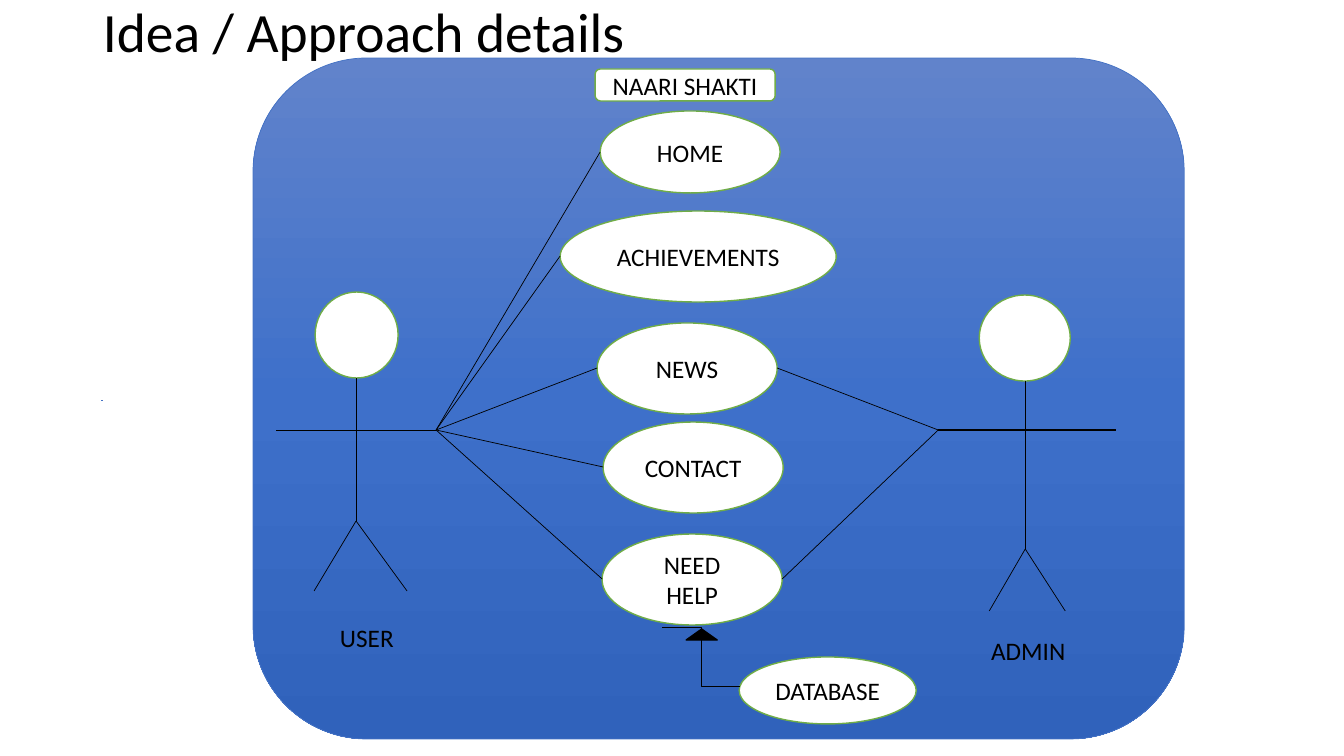
"""Build a use case slide with two actors, their use cases and a database."""
from copy import deepcopy
from typing import NamedTuple

from pptx import Presentation
from pptx.dml.color import RGBColor
from pptx.enum.shapes import MSO_CONNECTOR, MSO_SHAPE
from pptx.enum.text import MSO_ANCHOR, PP_ALIGN
from pptx.oxml.ns import qn
from pptx.oxml.xmlchemy import OxmlElement
from pptx.util import Emu, Inches, Pt

PIXELS_PER_INCH = 100.8
BLACK, WHITE, GREEN, BLUE = "000000", "FFFFFF", "70AD47", "4472C4"


class Box(NamedTuple):
    left: int
    top: int
    width: int
    height: int

    @property
    def right(self) -> int:
        return self.left + self.width

    @property
    def bottom(self) -> int:
        return self.top + self.height

    @property
    def middle(self) -> int:
        return self.top + self.height // 2


class Point(NamedTuple):
    x: int
    y: int


class UseCase(NamedTuple):
    name: str
    box: Box
    for_user: bool = True
    for_admin: bool = False


class Actor(NamedTuple):
    name: str
    label: Box
    head: Box
    hip: Point
    left_hand: int
    right_hand: int
    feet: tuple[Point, Point]
    arm_weight: float = 0.5


ARM_HEIGHT = 430
USER = Actor("USER", Box(330, 617, 93, 40), Box(315, 292, 83, 86), Point(356, 521),
             276, 436, (Point(314, 591), Point(407, 591)))
ADMIN = Actor("ADMIN", Box(981, 630, 142, 40), Box(979, 295, 91, 86), Point(1025, 549),
              938, 1116, (Point(989, 611), Point(1065, 611)), arm_weight=1)
USE_CASES = [
    UseCase("HOME", Box(600, 111, 180, 82)),
    UseCase("ACHIEVEMENTS", Box(560, 211, 276, 91)),
    UseCase("NEWS", Box(597, 323, 180, 91), for_admin=True),
    UseCase("CONTACT", Box(603, 422, 180, 91)),
    UseCase("NEED HELP", Box(602, 534, 180, 91), for_admin=True),
    UseCase("DATABASE", Box(739, 657, 177, 67), for_user=False),
]


def px(pixels: float) -> Emu:
    return Emu(round(pixels * 914400 / PIXELS_PER_INCH))


def color(value: str) -> RGBColor:
    return RGBColor.from_string(value)


def write(frame, text: str, *, size: float = 18, align=PP_ALIGN.LEFT,
          anchor=MSO_ANCHOR.TOP, spacing: float = 1.0) -> None:
    frame.word_wrap = True
    frame.vertical_anchor = anchor
    paragraph = frame.paragraphs[0]
    paragraph.alignment = align
    paragraph.line_spacing = spacing
    run = paragraph.add_run()
    run.text = text
    run.font.size = Pt(size)
    run.font.name = "Calibri"
    run.font.color.rgb = color(BLACK)


def add_label(box: Box, text: str, **style) -> None:
    write(slide.shapes.add_textbox(*map(px, box)).text_frame, text, **style)


def add_figure(kind, box: Box, text: str = "", fill: str = WHITE,
               outline: str = GREEN, weight: float = 1):
    figure = slide.shapes.add_shape(kind, *map(px, box))
    figure.shadow.inherit = False
    figure.fill.solid()
    figure.fill.fore_color.rgb = color(fill)
    figure.line.color.rgb = color(outline)
    figure.line.width = Pt(weight)
    if text:
        write(figure.text_frame, text, align=PP_ALIGN.CENTER, anchor=MSO_ANCHOR.MIDDLE)
    return figure


def add_line(start: Point, end: Point, weight: float = 0.5, stroke: str = BLACK,
             kind=MSO_CONNECTOR.STRAIGHT) -> None:
    line = slide.shapes.add_connector(kind, *map(px, (*start, *end)))
    line.line.color.rgb = color(stroke)
    line.line.width = Pt(weight)
    line._element.spPr.append(OxmlElement("a:effectLst"))


def add_system(box: Box, shades: list[str]) -> None:
    system = add_figure(MSO_SHAPE.ROUNDED_RECTANGLE, box, outline=BLUE, weight=0.5)
    system.fill.gradient()
    system.fill.gradient_angle = 270
    stops = system._element.spPr.find(".//" + qn("a:gsLst"))
    stops.insert(1, deepcopy(stops[0]))
    for index, (stop, shade) in enumerate(zip(system.fill.gradient_stops, shades)):
        stop.color.rgb = color(shade)
        stop.position = index / (len(shades) - 1)


def add_actor(actor: Actor) -> None:
    add_figure(MSO_SHAPE.FLOWCHART_CONNECTOR, actor.head)
    add_line(Point(actor.hip.x, actor.head.bottom), actor.hip)
    add_line(Point(actor.left_hand, ARM_HEIGHT), Point(actor.right_hand, ARM_HEIGHT),
             actor.arm_weight)
    for foot in actor.feet:
        add_line(actor.hip, foot)
    add_label(actor.label, actor.name)


def add_use_case(use_case: UseCase) -> None:
    box = use_case.box
    add_figure(MSO_SHAPE.OVAL, box, use_case.name)
    if use_case.for_user:
        add_line(Point(USER.right_hand, ARM_HEIGHT), Point(box.left, box.middle))
    if use_case.for_admin:
        add_line(Point(box.right, box.middle), Point(ADMIN.left_hand, ARM_HEIGHT))


deck = Presentation()
deck.slide_width, deck.slide_height = Inches(13.33), Inches(7.5)
slide = deck.slides.add_slide(deck.slide_layouts[6])

add_label(Box(93, 12, 1159, 46), "Idea / Approach details", size=39.6,
          anchor=MSO_ANCHOR.MIDDLE, spacing=0.9)
add_system(Box(253, 58, 931, 681), ["6183CB", "3E70CA", "3062BB"])
add_figure(MSO_SHAPE.ROUNDED_RECTANGLE, Box(595, 69, 180, 32), "NAARI SHAKTI")
for case in USE_CASES:
    add_use_case(case)
for person in (USER, ADMIN):
    add_actor(person)
add_line(Point(101, 400), Point(103, 400), stroke=BLUE)
add_line(Point(662, 627), Point(740, 686), kind=MSO_CONNECTOR.ELBOW)
add_figure(MSO_SHAPE.ISOSCELES_TRIANGLE, Box(686, 629, 31, 11), fill=BLACK, outline=BLACK)

deck.save("out.pptx")
